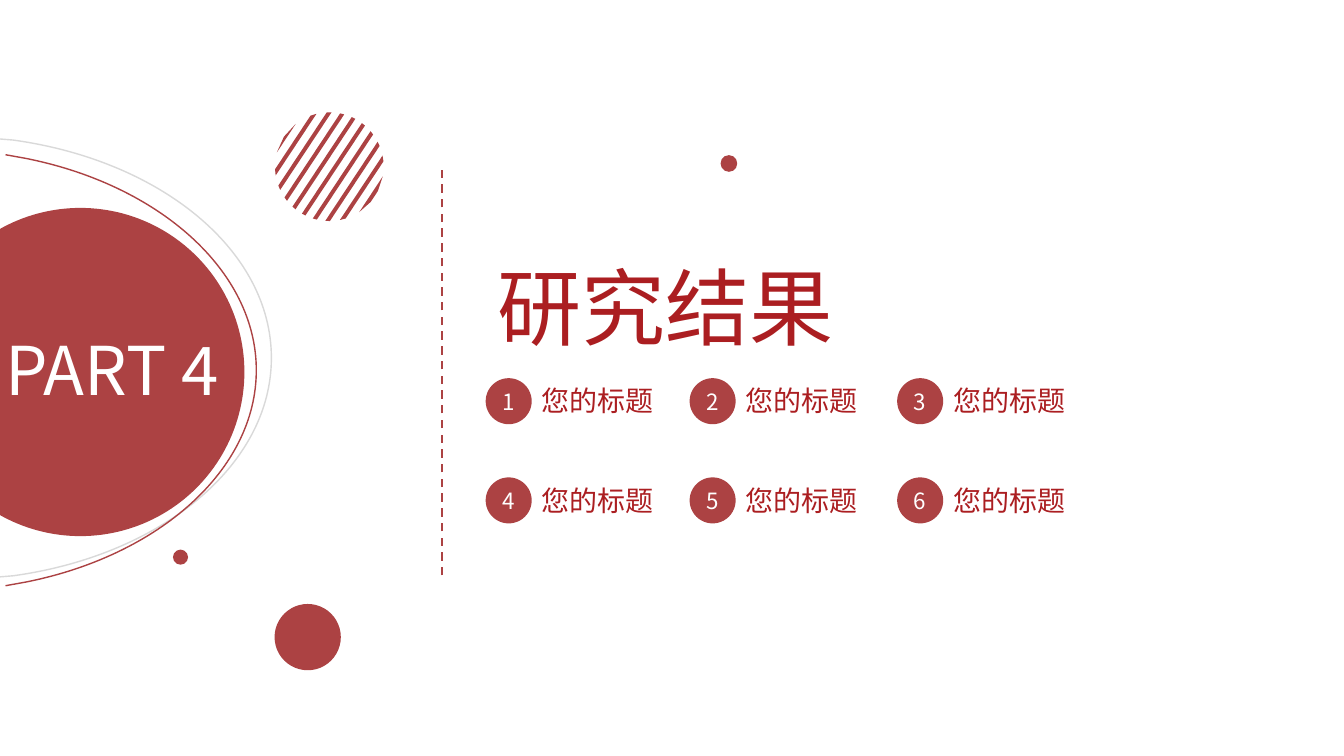
import math
import pptx
import pptx.util
import pptx.dml.color
import pptx.enum.dml
import pptx.enum.shapes
import pptx.enum.text
import pptx.oxml
import pptx.oxml.ns
from pptx.util import Cm

RED = pptx.dml.color.RGBColor(0xAC, 0x42, 0x43)
DEEP = pptx.dml.color.RGBColor(0xAB, 0x1E, 0x21)
GREY = pptx.dml.color.RGBColor(0xD9, 0xD9, 0xD9)
WHITE = pptx.dml.color.RGBColor(0xFF, 0xFF, 0xFF)
FONT = "Noto Sans CJK SC"
ALIGN = pptx.enum.text.PP_ALIGN
ANCHOR = pptx.enum.text.MSO_ANCHOR


def write(frame, text, size, color=DEEP, align=ALIGN.LEFT,
          anchor=ANCHOR.TOP, wrap=False):
    """Fill a text frame with one formatted run."""
    frame.word_wrap = wrap
    frame.vertical_anchor = anchor
    para = frame.paragraphs[0]
    para.alignment = align
    run = para.add_run()
    run.text = text
    run.font.size = pptx.util.Pt(size)
    run.font.name = FONT
    run.font.color.rgb = color
    # East Asian typeface
    east = pptx.oxml.parse_xml(
        f'<a:ea {pptx.oxml.ns.nsdecls("a")} typeface="{FONT}"/>')
    run.font._element.find(pptx.oxml.ns.qn("a:latin")).addnext(east)


def label(slide, text, x, y, wide, high, size, **form):
    box = slide.shapes.add_textbox(Cm(x), Cm(y), Cm(wide), Cm(high))
    write(box.text_frame, text, size, **form)
    box.text_frame.auto_size = pptx.enum.text.MSO_AUTO_SIZE.SHAPE_TO_FIT_TEXT


def paint(shape):
    shape.shadow.inherit = False
    shape.fill.solid()
    shape.fill.fore_color.rgb = RED
    shape.line.fill.background()


def disc(slide, x, y, side):
    oval = slide.shapes.add_shape(
        pptx.enum.shapes.MSO_SHAPE.OVAL, Cm(x), Cm(y), Cm(side), Cm(side))
    paint(oval)
    return oval


def point(spot):
    return Cm(spot[0]), Cm(spot[1])


def bend(lines):
    """Turn three line steps into one Bezier step."""
    curve = pptx.oxml.parse_xml(
        f'<a:cubicBezTo {pptx.oxml.ns.nsdecls("a")}/>')
    lines[0].addprevious(curve)
    for line in lines:
        curve.append(line[0])
        line.getparent().remove(line)


def arc(slide, upper, color):
    """Draw start, line end, two handles and tip, then their mirror below."""
    mid = upper[-1][1]
    lower = [(x, 2 * mid - y) for x, y in reversed(upper[:-1])]
    pen = slide.shapes.build_freeform(*point(upper[0]))
    pen.add_line_segments([point(p) for p in upper[1:] + lower], close=False)
    curve = pen.convert_to_shape()
    lines = list(curve._element.iter(pptx.oxml.ns.qn("a:lnTo")))
    bend(lines[1:4])
    bend(lines[4:7])
    curve.shadow.inherit = False
    curve.fill.background()
    curve.line.color.rgb = color
    curve.line.width = pptx.util.Pt(1)
    return curve


def stripes(slide, mid_x, mid_y, radius):
    """Draw ten slanted bands cut to a circle."""
    count, first, last, thick = 10, 1.26, -1.4, 0.1
    slant = math.radians(56.5)
    cos, sin = math.cos(slant), math.sin(slant)

    def spot(gap, side):
        gap = max(-radius, min(radius, gap))
        half = side * math.sqrt(radius ** 2 - gap ** 2)
        return point((mid_x + gap * sin + half * cos,
                      mid_y + gap * cos - half * sin))

    pen = None
    for i in range(count):
        low = first + (last - first) * i / (count - 1)
        high = low + thick
        ring = [spot(low, -1), spot(low, 1), spot(high, 1), spot(high, -1)]
        if pen is None:
            pen = slide.shapes.build_freeform(*ring[0])
        else:
            pen.move_to(*ring[0])
        pen.add_line_segments(ring[1:], close=True)
    paint(pen.convert_to_shape())


def divide(slide, x, top, end):
    line = slide.shapes.add_connector(
        pptx.enum.shapes.MSO_CONNECTOR.STRAIGHT, Cm(x), Cm(end), Cm(x), Cm(top))
    line.line.color.rgb = RED
    line.line.width = pptx.util.Pt(1.5)
    line.line.dash_style = pptx.enum.dml.MSO_LINE.DASH
    line._element.spPr.append(pptx.oxml.parse_xml(
        f'<a:effectLst {pptx.oxml.ns.nsdecls("a")}/>'))


def topic(slide, number, x, y):
    side = 1.16
    label(slide, "您的标题", x + side, y + 0.02, 3.35, 1.12, 20)
    badge = disc(slide, x, y, side)
    write(badge.text_frame, str(number), 16, color=WHITE,
          align=ALIGN.CENTER, anchor=ANCHOR.MIDDLE, wrap=True)


def main():
    deck = pptx.Presentation()
    deck.slide_width, deck.slide_height = Cm(33.87), Cm(19.05)
    slide = deck.slides.add_slide(deck.slide_layouts[6])

    # Large disc with its two outer curves
    outer = arc(slide, [(-0.28, 3.48), (0.33, 3.53), (4.04, 4.04),
                        (6.84, 6.3), (6.84, 9.02)], GREY)
    inner = arc(slide, [(0.14, 3.9), (0.64, 3.99), (3.99, 4.65),
                        (6.46, 6.81), (6.46, 9.33)], RED)
    slide.shapes.add_group_shape([outer, inner])
    disc(slide, -2.11, 5.24, 8.27)

    # Divider and title
    divide(slide, 11.13, 4.13, 14.5)
    label(slide, "研究结果", 12.22, 6.32, 9.09, 2.82, 60, align=ALIGN.CENTER)

    # Numbered topics
    columns, rows = (12.24, 17.38, 22.61), (9.53, 12.03)
    spots = [(x, y) for y in rows for x in columns]
    for number, (x, y) in enumerate(spots, 1):
        topic(slide, number, x, y)

    # Ornaments and part name
    stripes(slide, 8.3, 4.2, 1.37)
    disc(slide, 18.16, 3.91, 0.42)
    disc(slide, 4.36, 13.85, 0.38)
    label(slide, "PART 4", -0.12, 8.15, 6.58, 2.31, 48, color=WHITE, wrap=True)
    disc(slide, 6.92, 15.22, 1.67)

    deck.save("out.pptx")


if __name__ == "__main__":
    main()
